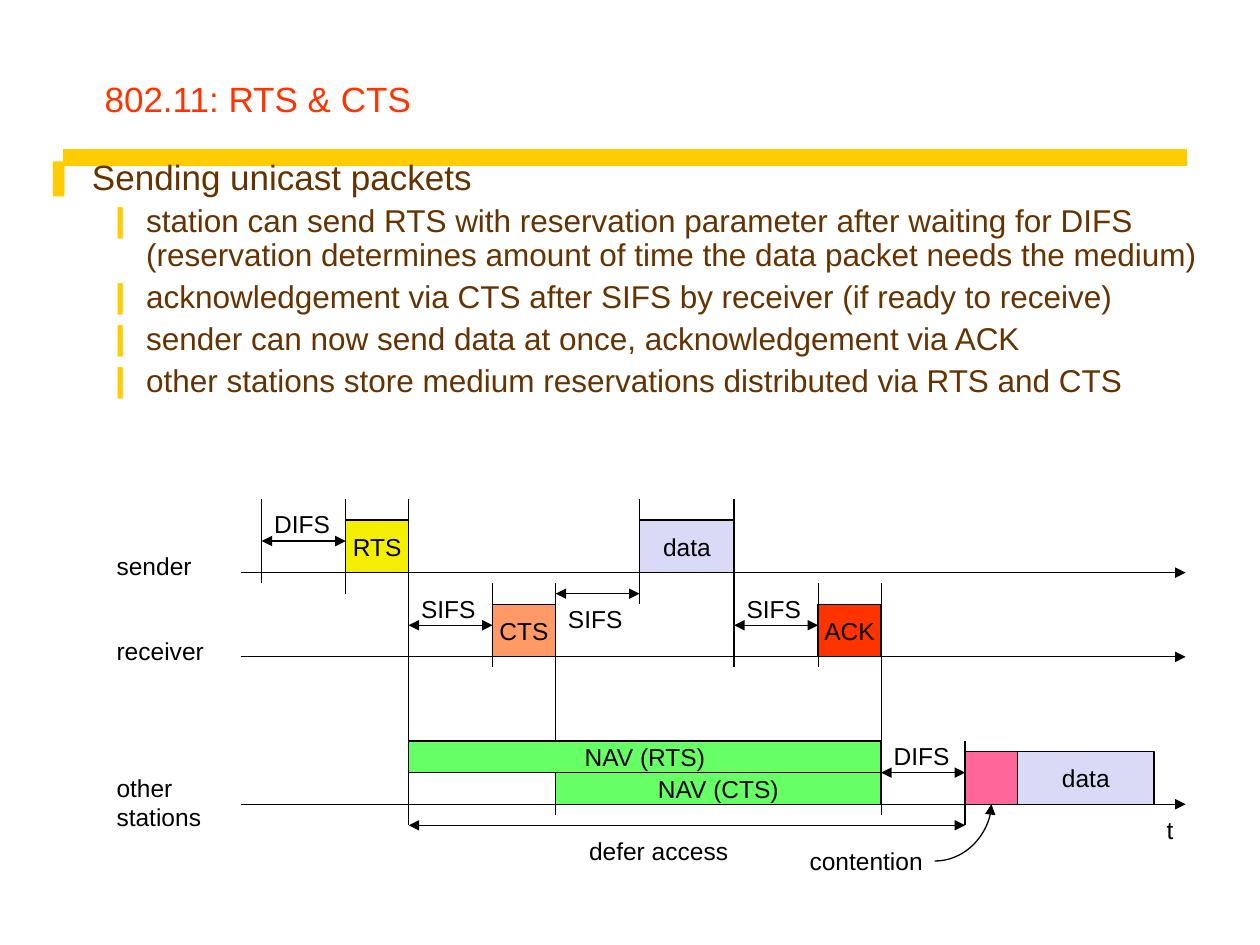
import pptx
import pptx.util
import pptx.dml.color
import pptx.enum.shapes
import pptx.enum.text
import pptx.oxml.ns
import lxml.etree

Inch, Pt = pptx.util.Inches, pptx.util.Pt
ALIGN, ANCHOR = pptx.enum.text.PP_ALIGN, pptx.enum.text.MSO_ANCHOR
FIT = pptx.enum.text.MSO_AUTO_SIZE
LINK = pptx.enum.shapes.MSO_CONNECTOR
RECT = pptx.enum.shapes.MSO_SHAPE.RECTANGLE

BLACK, GOLD, BROWN, RED = "000000", "FFCC00", "663300", "FF3300"
LILAC, GREEN = "DADAF6", "66FF66"


def tint(color, code):
    color.rgb = pptx.dml.color.RGBColor.from_string(code)


def apply(item, form):
    for name, value in form.items():
        setattr(item, name, value)


def node(home, tag, **attrs):
    return lxml.etree.SubElement(home, pptx.oxml.ns.qn(tag), attrs)


def write(para, text, size, code):
    run = para.add_run()
    run.text = text
    apply(run.font, {"size": Pt(size), "name": "Arial"})
    tint(run.font.color, code)


def place(shape, box):
    apply(shape, dict(zip(("left", "top", "width", "height"), map(Inch, box))))


def link(slide, start, end, ends="", kind=LINK.STRAIGHT, code=BLACK, width=0.75):
    """Line between two points; ends names the arrowheads to add."""
    line = slide.shapes.add_connector(kind, *map(Inch, (*start, *end)))
    tint(line.line.color, code)
    line.line.width = Pt(width)
    for tip in ends.split():
        node(line.line._get_or_add_ln(), "a:" + tip, type="triangle")
    node(line._element.spPr, "a:effectLst")
    return line


def head(slide, box):
    """Title with the gold rule below it."""
    title = slide.shapes.title
    place(title, box)
    frame = title.text_frame
    apply(frame, {"vertical_anchor": ANCHOR.BOTTOM, "auto_size": FIT.NONE})
    frame.paragraphs[0].alignment = ALIGN.LEFT
    write(frame.paragraphs[0], "802.11: RTS & CTS", 20, RED)
    rule = link(slide, (0.5, 1.25), (9.42, 1.25), code=GOLD, width=10)
    slide.shapes._spTree.insert(2, rule._element)


# Level: size, space before, left margin, hanging indent, bullet
LEVELS = [(20, 5, 0.38, 0.38, "❚"), (18, 4.5, 0.81, 0.31, "❙")]
POINTS = [
    (0, "Sending unicast packets"),
    (1, "station can send RTS with reservation parameter after waiting for DIFS "
        "(reservation determines amount of time the data packet needs the medium)"),
    (1, "acknowledgement via CTS after SIFS by receiver (if ready to receive)"),
    (1, "sender can now send data at once, acknowledgement via ACK"),
    (1, "other stations store medium reservations distributed via RTS and CTS"),
]


def body(slide, box):
    """Bulleted list in the body placeholder."""
    shape = slide.placeholders[1]
    place(shape, box)
    frame = shape.text_frame
    apply(frame, {"vertical_anchor": ANCHOR.TOP, "auto_size": FIT.NONE})
    for i, (level, text) in enumerate(POINTS):
        para = frame.add_paragraph() if i else frame.paragraphs[0]
        size, gap, left, hang, mark = LEVELS[level]
        apply(para, {"level": level, "line_spacing": 0.9, "space_before": Pt(gap)})
        write(para, text, size, BROWN)
        props = para._p.get_or_add_pPr()
        props.set("marL", str(Inch(left)))
        props.set("indent", str(-Inch(hang)))
        node(node(props, "a:buClr"), "a:srgbClr", val=GOLD)
        node(props, "a:buChar", char=mark)


# Chart parts, in columns and rows of a 90 by 31 grid
AXES = [7, 15, 29]
MARKS = [  # column, top, bottom
    (2, 0, 8), (10, 0, 9), (16, 0, 31), (24, 8, 16), (30, 8, 30), (38, 0, 10),
    (47, 0, 16), (55, 8, 16), (61, 8, 30), (69, 23, 31)]
SPANS = [  # row, from, to
    (4, 2, 10), (12, 16, 24), (9, 30, 38), (12, 47, 55), (26, 61, 69), (31, 16, 69)]
BLOCKS = [  # column, row, columns, rows, fill, text
    (10, 2, 6, 5, "F4EE00", "RTS"), (38, 2, 9, 5, LILAC, "data"),
    (24, 10, 6, 5, "FF9966", "CTS"), (55, 10, 6, 5, RED, "ACK"),
    (16, 23, 45, 3, GREEN, "NAV (RTS)"), (30, 26, 31, 3, GREEN, "NAV (CTS)"),
    (69, 24, 5, 5, "FF6699", ""), (74, 24, 13, 5, LILAC, "data")]
LABELS = [  # column, row, width in inches, lines
    (-13, 4, 0.83, "sender"), (-13, 12, 0.92, "receiver"),
    (-13, 25, 0.9, "other\nstations"), (2, 0, 0.68, "DIFS"),
    (16, 8, 0.66, "SIFS"), (30, 9, 0.66, "SIFS"), (47, 8, 0.66, "SIFS"),
    (61, 22, 0.68, "DIFS"), (32, 31, 1.34, "defer access"),
    (53, 32, 1.13, "contention"), (87, 29, 0.28, "t")]


def block(slide, box, fill, text):
    shape = slide.shapes.add_shape(RECT, *map(Inch, box))
    shape.shadow.inherit = False
    shape.fill.solid()
    tint(shape.fill.fore_color, fill)
    tint(shape.line.color, BLACK)
    shape.line.width = Pt(0.75)
    if text:
        frame = shape.text_frame
        apply(frame, {"word_wrap": False, "vertical_anchor": ANCHOR.MIDDLE})
        frame.paragraphs[0].alignment = ALIGN.CENTER
        write(frame.paragraphs[0], text, 14, BLACK)


def label(slide, spot, width, text):
    rows = text.split("\n")
    high = 0.11 + 0.23 * len(rows)
    frame = slide.shapes.add_textbox(*map(Inch, (*spot, width, high))).text_frame
    apply(frame, {"word_wrap": False, "auto_size": FIT.NONE})
    for i, row in enumerate(rows):
        para = frame.add_paragraph() if i else frame.paragraphs[0]
        para.alignment = ALIGN.LEFT
        write(para, row, 14, BLACK)


def chart(slide, box):
    """Timing chart of sender, receiver and other stations."""
    left, top, width, height = box
    dx, dy = width / 90, height / 31

    def spot(col, row):
        return left + col * dx, top + row * dy

    # Time axes, event marks and intervals
    for row in AXES:
        link(slide, spot(0, row), spot(90, row), "tailEnd")
    for col, start, end in MARKS:
        link(slide, spot(col, start), spot(col, end))
    for row, start, end in SPANS:
        link(slide, spot(start, row), spot(end, row), "headEnd tailEnd")

    # Frames on the medium
    for col, row, cols, rows, fill, text in BLOCKS:
        block(slide, (*spot(col, row), cols * dx, rows * dy), fill, text)

    # Labels and the pointer to the contention window
    for col, row, wide, text in LABELS:
        label(slide, spot(col, row + 0.4), wide, text)
    curve = link(slide, spot(66.1, 34.4), spot(71.5, 29), "tailEnd", LINK.CURVE)
    curve._element.spPr.prstGeom.set("prst", "curvedConnector2")


def main():
    deck = pptx.Presentation()
    apply(deck, {"slide_width": Inch(10), "slide_height": Inch(7.5)})
    slide = deck.slides.add_slide(deck.slide_layouts[1])
    head(slide, (0.73, 0, 8.5, 1))
    body(slide, (0.25, 1.22, 9.5, 2.08))
    chart(slide, (1.91, 3.96, 7.5, 2.59))
    deck.save("out.pptx")


if __name__ == "__main__":
    main()
